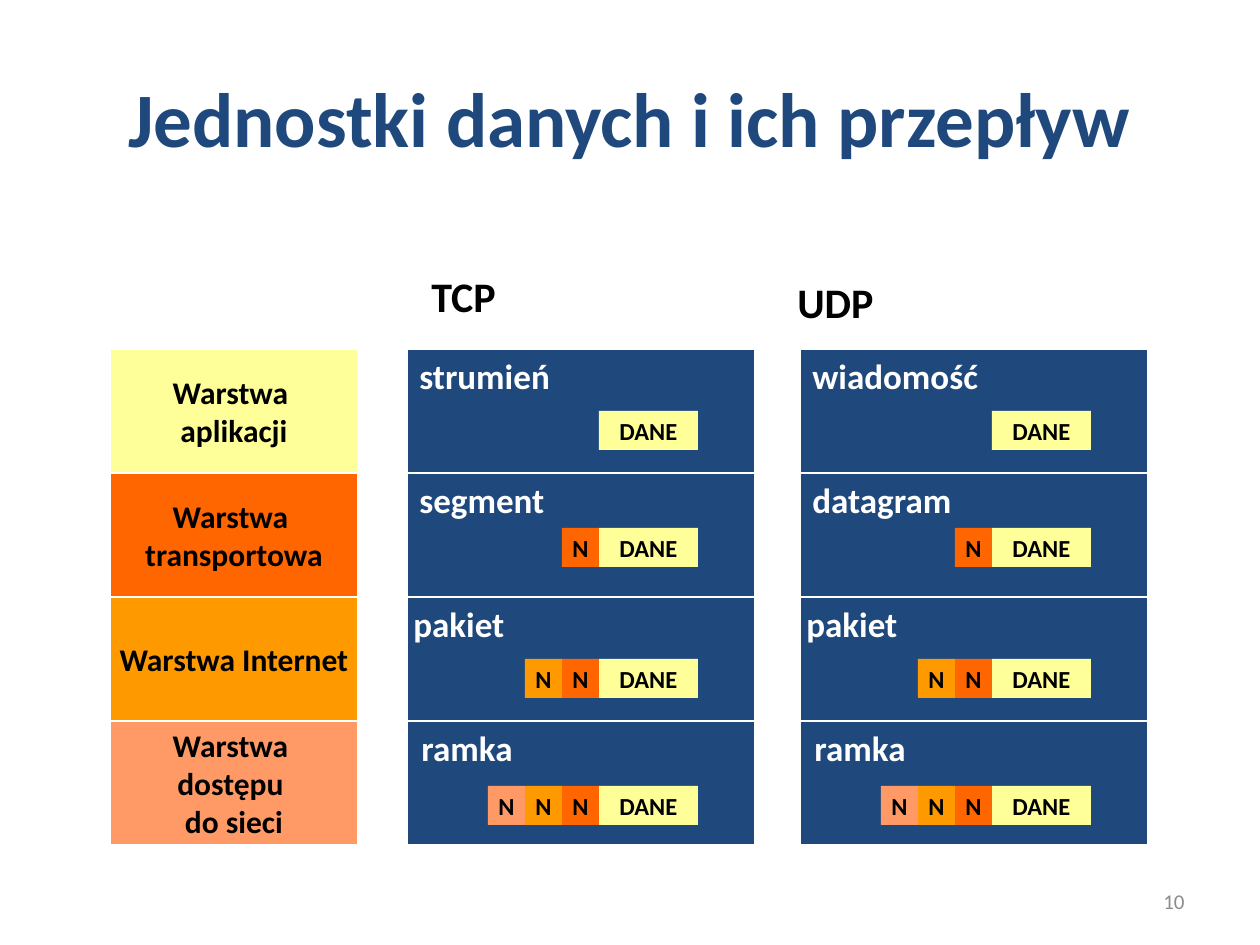
from pptx import Presentation
from pptx.dml.color import RGBColor
from pptx.enum.shapes import MSO_CONNECTOR, MSO_SHAPE
from pptx.enum.text import MSO_ANCHOR, MSO_AUTO_SIZE, PP_ALIGN
from pptx.oxml.ns import qn
from pptx.util import Emu, Pt
from lxml.etree import SubElement

PX = 914400 // 126
FONT = "Calibri"
COLORS = {
    "navy": "1F497D", "white": "FFFFFF", "black": "000000", "gray": "8C8C8C",
    "application": "FFFF99", "transport": "FF6600",
    "internet": "FF9900", "access": "FF9966",
}

# Content
TITLE = "Jednostki danych i ich przepływ"
PAGE = "10"
LAYERS = [  # colour, text
    ("application", "Warstwa \naplikacji"),
    ("transport", "Warstwa \ntransportowa"),
    ("internet", "Warstwa Internet"),
    ("access", "Warstwa \ndostępu \ndo sieci"),
]
PROTOCOLS = [  # panel left, heading, heading box, units as (name, width)
    (407, "TCP", (419, 264, 96, 63),
     [("strumień", 174), ("segment", 174), ("pakiet", 165), ("ramka", 121)]),
    (800, "UDP", (785, 270, 104, 63),
     [("wiadomość", 217), ("datagram", 174), ("pakiet", 165), ("ramka", 121)]),
]

# Layout in px
TOP, ROW_H = 349, 124
LAYER_X, LAYER_W, PANEL_W = 110, 248, 348
RULE_X1, RULE_X2 = 66, 1150
UNIT_SHIFTS = [0, 0, -6, 2]
CHIP_TOPS = [411, 528, 659, 786]
DATA_DX, DATA_W, HEADER_W, CHIP_H = 192, 99, 37, 39

prs = Presentation()
prs.slide_width, prs.slide_height = Emu(1260 * PX), Emu(945 * PX)
s = prs.slides.add_slide(prs.slide_layouts[6])


def color(name):
    return RGBColor.from_string(COLORS[name])


def px(*values):
    return [Emu(v * PX) for v in values]


def write(sp, text, size=14, ink="black", bold=True, align=PP_ALIGN.CENTER,
          anchor=MSO_ANCHOR.MIDDLE, wrap=False, grow=False):
    tf = sp.text_frame
    tf.word_wrap = wrap
    tf.auto_size = MSO_AUTO_SIZE.SHAPE_TO_FIT_TEXT if grow else MSO_AUTO_SIZE.NONE
    tf.vertical_anchor = anchor
    p = tf.paragraphs[0]
    p.text = text.replace("\n", "\v")
    p.alignment = align
    for r in p.runs:
        r.font.name, r.font.size, r.font.bold = FONT, Pt(size), bold
        r.font.color.rgb = color(ink)


def add_text(box, text, **fmt):
    write(s.shapes.add_textbox(*px(*box)), text, **fmt)


def add_box(box, fill, outlined=False):
    sp = s.shapes.add_shape(MSO_SHAPE.RECTANGLE, *px(*box))
    sp.shadow.inherit = False
    sp.fill.solid()
    sp.fill.fore_color.rgb = color(fill)
    if outlined:
        sp.line.color.rgb = color("white")
        sp.line.width = Pt(0.75)
    else:
        sp.line.fill.background()
    return sp


# Title and protocol panels
add_text((63, 38, 1134, 157), TITLE, size=44, ink="navy", wrap=True)
for left, *_ in PROTOCOLS:
    add_box((left, TOP, PANEL_W, ROW_H * len(LAYERS)), "navy", outlined=True)

# Layer column
for i, (fill, text) in enumerate(LAYERS):
    sp = add_box((LAYER_X, TOP + i * ROW_H, LAYER_W, ROW_H), fill, outlined=True)
    write(sp, text, size=18)

# Lines between layers
for i in range(1, len(LAYERS)):
    y = TOP + i * ROW_H
    line = s.shapes.add_connector(MSO_CONNECTOR.STRAIGHT, *px(RULE_X1, y, RULE_X2, y))
    line.line.color.rgb = color("white")
    line.line.width = Pt(1.5)
    SubElement(line._element.spPr, qn("a:effectLst"))

# Data units: each lower layer puts one more header before the data
for left, heading, heading_box, units in PROTOCOLS:
    add_text(heading_box, heading, size=24, align=PP_ALIGN.LEFT,
             anchor=MSO_ANCHOR.TOP)
    for i, (name, width) in enumerate(units):
        add_text((left + UNIT_SHIFTS[i], TOP - 1 + i * ROW_H, width, 55), name,
                 size=20, ink="white", align=PP_ALIGN.LEFT,
                 anchor=MSO_ANCHOR.TOP, wrap=True, grow=True)
        x, y = left + DATA_DX, CHIP_TOPS[i]
        write(add_box((x, y, DATA_W, CHIP_H), "application"), "DANE")
        for fill, _ in LAYERS[1:i + 1]:
            x -= HEADER_W
            write(add_box((x, y, HEADER_W, CHIP_H), fill), "N")

# Page number
add_text((903, 876, 294, 50), PAGE, size=12, ink="gray", bold=False,
         align=PP_ALIGN.RIGHT, wrap=True)

prs.save("out.pptx")
